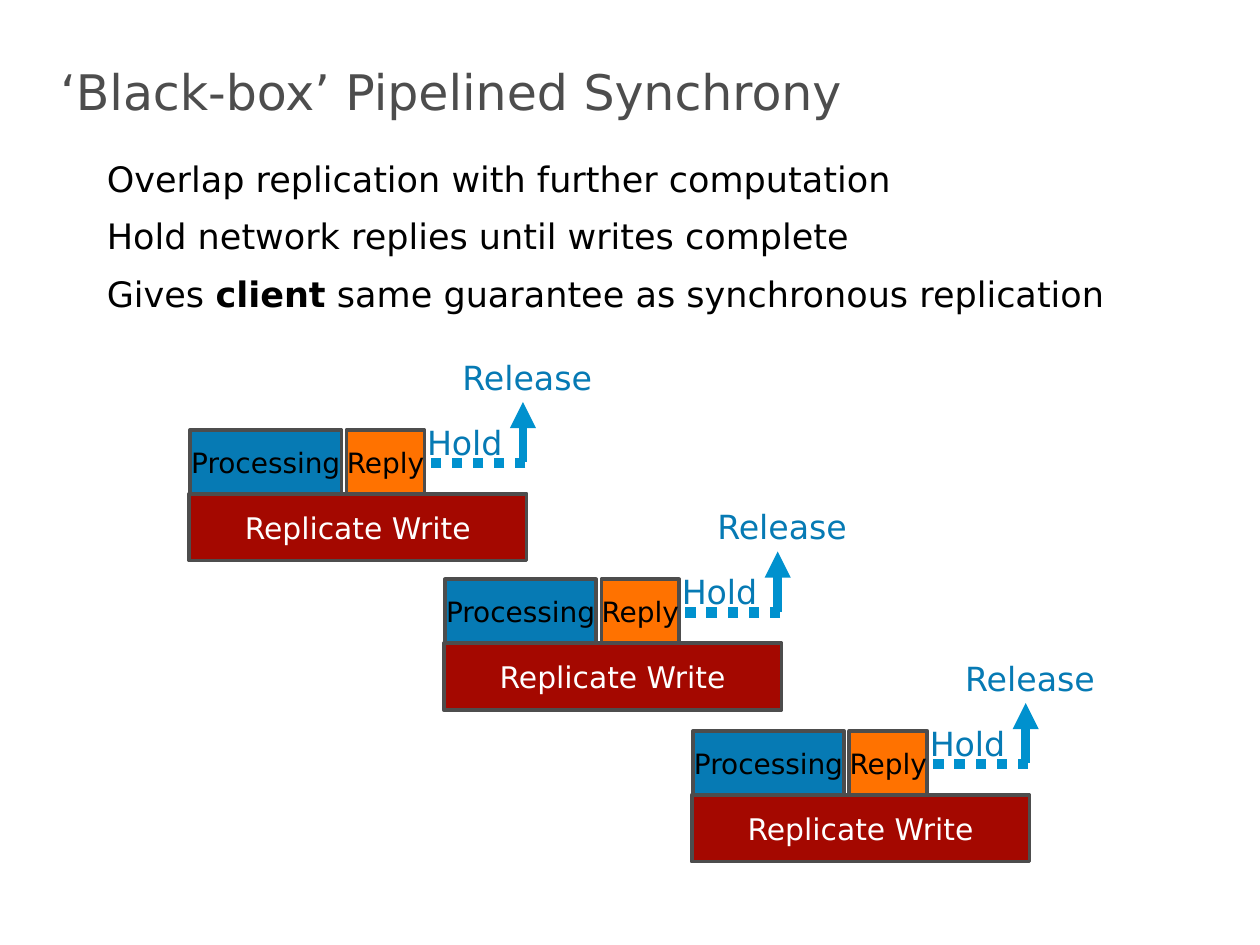
from pptx import Presentation
from pptx.dml.color import RGBColor
from pptx.enum.dml import MSO_LINE
from pptx.enum.shapes import MSO_CONNECTOR, MSO_SHAPE
from pptx.enum.text import MSO_ANCHOR, PP_ALIGN
from pptx.oxml.ns import qn
from pptx.util import Pt
from lxml import etree

COLORS = {
    "gray": "4D4D4D", "black": "000000", "white": "FFFFFF", "blue": "067AB4",
    "orange": "FF7200", "red": "A40800", "arrow": "0091CE",
}


def color(name):
    return RGBColor.from_string(COLORS[name])


def write(para, text, size, ink, bold=False):
    """Append one formatted run to the paragraph."""
    span = para.add_run()
    span.text = text
    font_format = {"name": "DejaVu Sans", "size": Pt(size), "bold": bold}
    for key, value in font_format.items():
        setattr(span.font, key, value)
    span.font.color.rgb = color(ink)


deck = Presentation()
deck.slide_width, deck.slide_height = Pt(720), Pt(540)
page = deck.slides.add_slide(deck.slide_layouts[6])

# Title
title = page.shapes.add_textbox(Pt(27.4), Pt(30.2), Pt(674.6), Pt(66.2))
title.text_frame.word_wrap = True
para = title.text_frame.paragraphs[0]
para.line_spacing = 1.05
write(para, "‘Black-box’ Pipelined Synchrony", 28, "gray")

# Body, each line as (text, bold) spans
body_lines = [
    [("Overlap replication with further computation", False)],
    [("Hold network replies until writes complete", False)],
    [("Gives ", False), ("client", True),
     (" same guarantee as synchronous replication", False)],
]
body = page.shapes.add_textbox(Pt(16.6), Pt(86.4), Pt(684), Pt(116.6))
body.text_frame.word_wrap = True
for index, spans in enumerate(body_lines):
    para = body.text_frame.paragraphs[0] if index == 0 else body.text_frame.add_paragraph()
    para._p.get_or_add_pPr().set("marL", str(Pt(37.4)))
    para.space_before = Pt(4.4 if index else 0)
    para.space_after = Pt(4.4)
    for text, bold in spans:
        write(para, text, 20, "black", bold)

# Pipeline stages: parts are placed relative to the corner of each stage
stages = [(108, 203.8), (253.6, 289.2), (395.3, 375.8)]
# text, left, top, width, height, fill, size, ink
parts = [
    ("Processing", 0.7, 41.8, 86.4, 36.7, "blue", 16, "black"),
    ("Reply", 90, 41.8, 44.6, 36.7, "orange", 16, "black"),
    ("Hold", 136, 37.4, 43.2, 23, None, 19, "blue"),
    ("Release", 156.2, 0, 74.2, 23, None, 19, "blue"),
    ("Replicate Write", 0, 78.4, 193, 38.2, "red", 17, "white"),
]
# start x, start y, end x, end y, width, dotted
lines = [
    (190.8, 25.9, 190.8, 60.5, 5, False),
    (192.2, 60.7, 136, 60.7, 6, True),
]
frame_format = {
    "margin_left": 0, "margin_top": 0, "margin_right": 0, "margin_bottom": 0,
    "vertical_anchor": MSO_ANCHOR.MIDDLE,
}

for left, top in stages:
    stage = page.shapes.add_group_shape()
    for x1, y1, x2, y2, width, dotted in lines:
        line = stage.shapes.add_connector(
            MSO_CONNECTOR.STRAIGHT,
            Pt(left + x1), Pt(top + y1), Pt(left + x2), Pt(top + y2))
        line.line.width = Pt(width)
        line.line.color.rgb = color("arrow")
        if dotted:
            line.line.dash_style = MSO_LINE.ROUND_DOT
            line.line._ln.find(qn("a:prstDash")).set("val", "sysDot")
        else:
            etree.SubElement(line.line._ln, qn("a:headEnd"), type="triangle")
        etree.SubElement(line._element.spPr, qn("a:effectLst"))

    for text, x, y, width, height, fill, size, ink in parts:
        place = Pt(left + x), Pt(top + y), Pt(width), Pt(height)
        if fill:
            box = stage.shapes.add_shape(MSO_SHAPE.RECTANGLE, *place)
            box.shadow.inherit = False
            box.fill.solid()
            box.fill.fore_color.rgb = color(fill)
            box.line.color.rgb = color("gray")
            box.line.width = Pt(2)
        else:
            box = stage.shapes.add_textbox(*place)
        for key, value in frame_format.items():
            setattr(box.text_frame, key, value)
        box.text_frame.word_wrap = bool(fill)
        para = box.text_frame.paragraphs[0]
        para.alignment = PP_ALIGN.CENTER
        write(para, text, size, ink)

deck.save("out.pptx")
